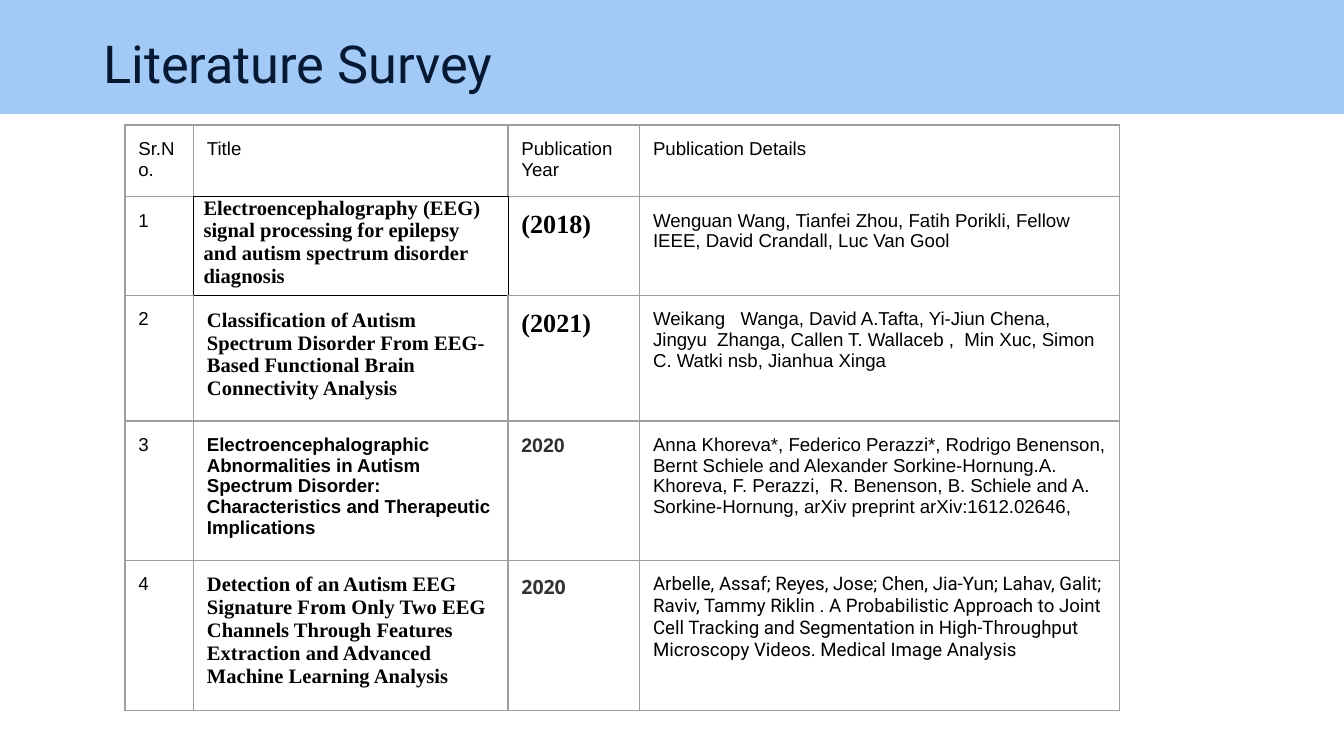
from lxml import etree
from pptx import Presentation
from pptx.dml.color import RGBColor
from pptx.enum import shapes, text
from pptx.oxml import ns
from pptx.util import Inches, Pt

# Content: each entry is (text, style); a newline starts a paragraph
HEADING = "Literature Survey"
SURVEY = [
    [("Sr.No.", "body"), ("Title", "body"), ("Publication Year", "body"),
     ("Publication Details", "body")],
    [("1", "body"),
     ("Electroencephalography (EEG) signal processing for epilepsy and autism "
      "spectrum disorder diagnosis", "paper"),
     ("(2018)", "year"),
     ("Wenguan Wang, Tianfei Zhou, Fatih Porikli, Fellow IEEE, David Crandall, "
      "Luc Van Gool", "body")],
    [("2", "body"),
     ("Classification of Autism Spectrum Disorder From EEG-Based Functional "
      "Brain Connectivity Analysis", "paper"),
     ("(2021)", "year"),
     ("Weikang   Wanga, David A.Tafta, Yi-Jiun Chena,  Jingyu  Zhanga, "
      "Callen T. Wallaceb ,  Min Xuc, Simon C. Watki nsb, Jianhua Xinga", "body")],
    [("3", "body"),
     ("Electroencephalographic Abnormalities in Autism Spectrum Disorder: "
      "Characteristics and Therapeutic Implications", "strong"),
     ("2020", "year_sans"),
     ("Anna Khoreva*, Federico Perazzi*, Rodrigo Benenson,\n"
      "Bernt Schiele and Alexander Sorkine-Hornung.A. Khoreva, F. Perazzi,  "
      "R. Benenson, B. Schiele and A. Sorkine-Hornung, arXiv preprint "
      "arXiv:1612.02646,", "body")],
    [("4", "body"),
     ("Detection of an Autism EEG Signature From Only Two EEG Channels Through "
      "Features Extraction and Advanced Machine Learning Analysis", "paper"),
     ("2020", "year_open"),
     ("Arbelle, Assaf; Reyes, Jose; Chen, Jia-Yun; Lahav, Galit; Raviv, Tammy "
      "Riklin . A Probabilistic Approach to Joint Cell Tracking and Segmentation "
      "in High-Throughput Microscopy Videos. Medical Image Analysis", "citation")],
]
COLUMN_WIDTHS = [0.51, 2.34, 0.98, 3.57]
ROW_HEIGHTS = [0.38, 0.7, 0.83, 0.7, 0.7]
TABLE_SIDE = 3.28  # nominal frame; the rows grow to fit their text
FRAMED = (1, 1)  # row and column of the cell with the dark frame

# Theme: styles are (font, size, colour, bold), borders are (colour, width)
THEME = {
    "band": "A3CAF7",
    "grid": ("9E9E9E", 0.75),
    "frame": ("000000", 0.5),
    "margins": (Inches(0.1), Inches(0.1)),
    "framed_margins": (Pt(5.4), 0),
    "styles": {
        "heading": ("Roboto", 28, "051934", False),
        "body": ("Arial", 10, "000000", False),
        "strong": ("Arial", 10, "000000", True),
        "paper": ("Times New Roman", 11, "000000", True),
        "year": ("Times New Roman", 14, "000000", True),
        "year_sans": ("Arial", 10.5, "2E2E2E", True),
        "year_open": ("Open Sans", 10.5, "333333", True),
        "citation": ("Roboto", 10, "000000", False),
    },
}
SIDES = {"lnL": (0, -1), "lnR": (0, 1), "lnT": (-1, 0), "lnB": (1, 0)}


def set_margins(target, across, down):
    margins = {"margin_left": across, "margin_right": across,
               "margin_top": down, "margin_bottom": down}
    for name, length in margins.items():
        setattr(target, name, length)


def write(frame, words, style):
    font_name, size, colour, bold = THEME["styles"][style]
    frame.word_wrap = True
    frame.text = words
    for paragraph in frame.paragraphs:
        for run in paragraph.runs:
            for name, value in {"name": font_name, "size": Pt(size), "bold": bold}.items():
                setattr(run.font, name, value)
            run.font.color.rgb = RGBColor.from_string(colour)


def draw_borders(cell, row, column):
    properties = cell._tc.get_or_add_tcPr()
    for position, (side, (down, across)) in enumerate(SIDES.items()):
        touches_frame = FRAMED in ((row, column), (row + down, column + across))
        colour, width = THEME["frame" if touches_frame else "grid"]
        line = etree.Element(ns.qn(f"a:{side}"), w=str(int(Pt(width))))
        fill = etree.SubElement(line, ns.qn("a:solidFill"))
        etree.SubElement(fill, ns.qn("a:srgbClr"), val=colour)
        properties.insert(position, line)


def main():
    deck = Presentation()
    deck.slide_width, deck.slide_height = Inches(10), Inches(10 * 9 / 16)
    slide = deck.slides.add_slide(deck.slide_layouts[6])

    # Header band
    band = slide.shapes.add_shape(shapes.MSO_SHAPE.RECTANGLE, 0, 0,
                                  deck.slide_width, Inches(0.85))
    band.shadow.inherit = False
    band.fill.solid()
    band.fill.fore_color.rgb = RGBColor.from_string(THEME["band"])
    band.line.fill.background()

    # Heading
    heading = slide.shapes.add_textbox(*map(Inches, (0.67, 0.13, 7.73, 0.63))).text_frame
    set_margins(heading, *THEME["margins"])
    heading.vertical_anchor = text.MSO_ANCHOR.TOP
    write(heading, HEADING, "heading")

    # Survey table
    survey_frame = slide.shapes.add_table(
        len(SURVEY), len(COLUMN_WIDTHS),
        *map(Inches, (0.93, 0.93, TABLE_SIDE, TABLE_SIDE)))
    survey = survey_frame.table
    survey.first_row = survey.horz_banding = False
    for column, width in zip(survey.columns, COLUMN_WIDTHS):
        column.width = Inches(width)
    for row, height in zip(survey.rows, ROW_HEIGHTS):
        row.height = Inches(height)
    survey_frame.width = survey_frame.height = Inches(TABLE_SIDE)
    for r, entries in enumerate(SURVEY):
        for c, (words, style) in enumerate(entries):
            cell = survey.cell(r, c)
            set_margins(cell, *THEME["framed_margins" if (r, c) == FRAMED else "margins"])
            cell.fill.background()
            write(cell.text_frame, words, style)
            draw_borders(cell, r, c)

    deck.save("out.pptx")


if __name__ == "__main__":
    main()
